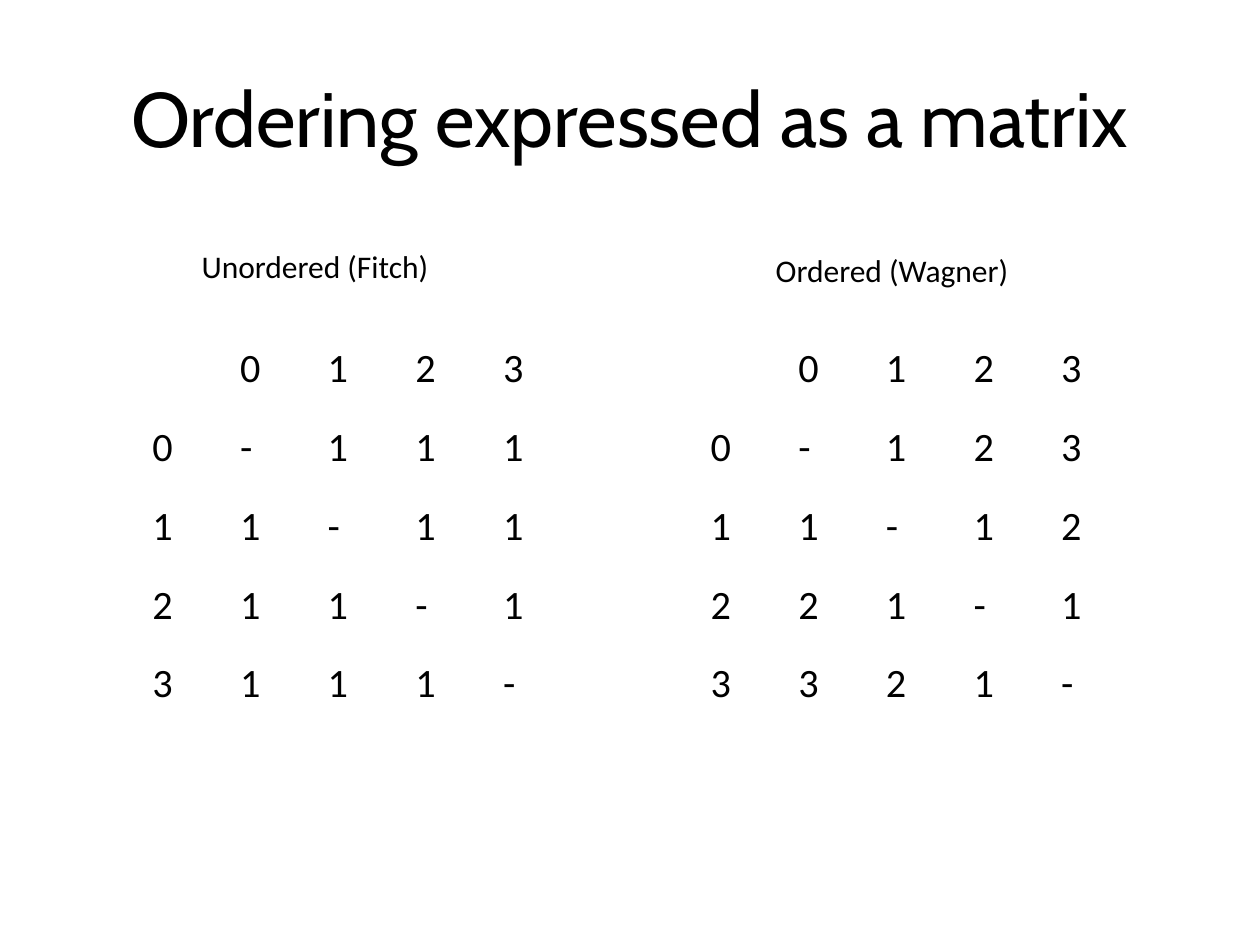
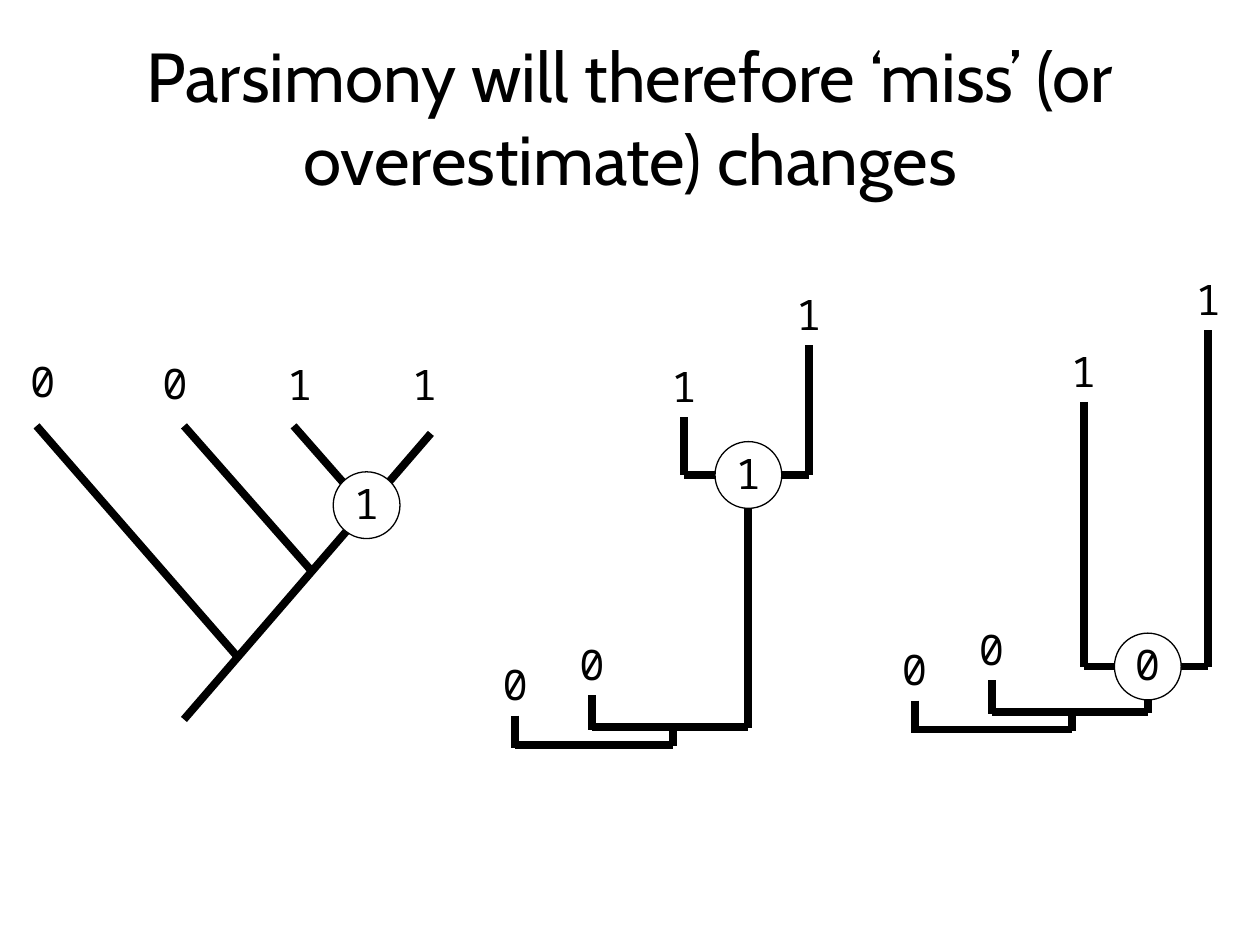
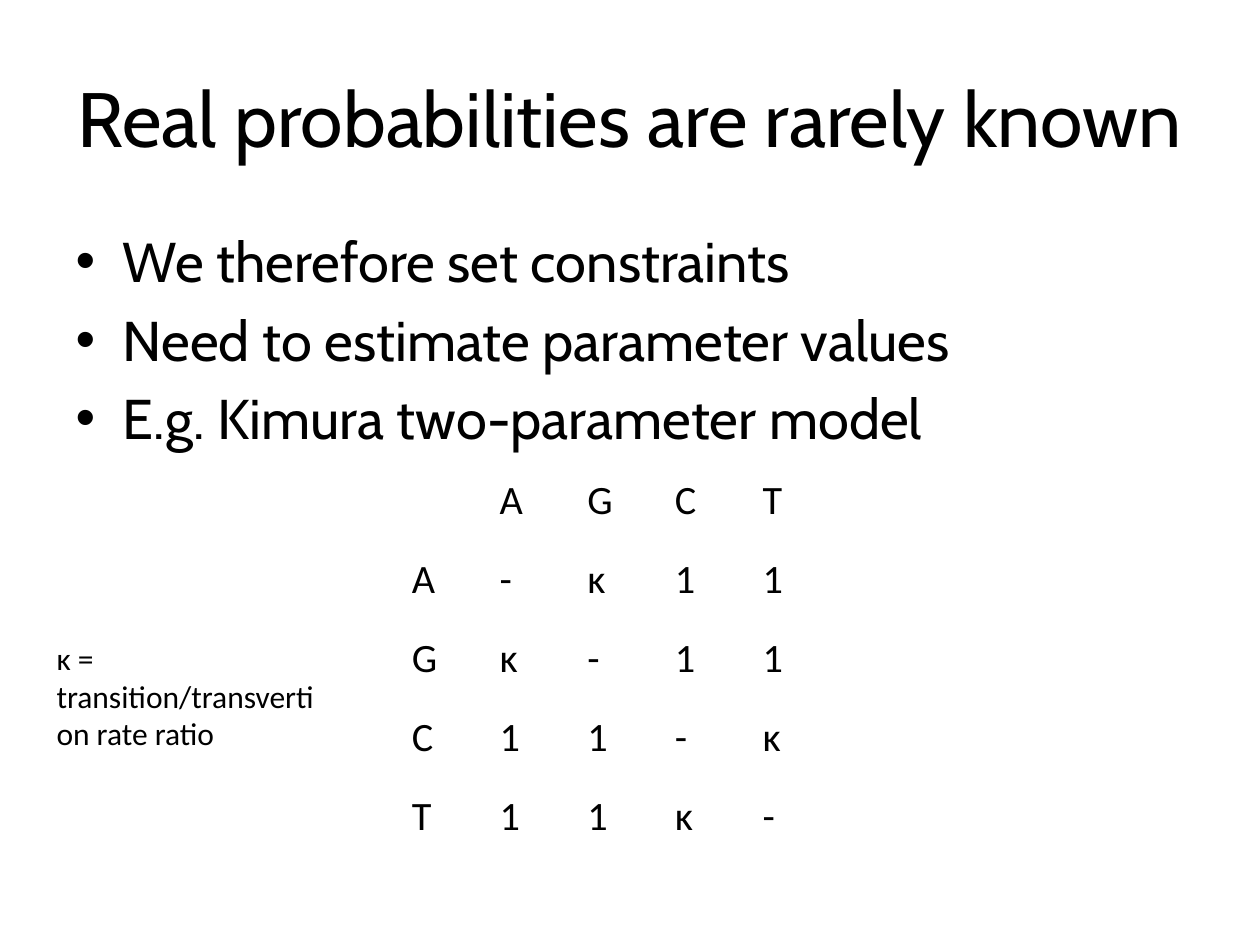
from lxml import etree
from pptx import Presentation
from pptx.dml.color import RGBColor
from pptx.enum.shapes import MSO_CONNECTOR as Connector, MSO_SHAPE as Shape
from pptx.enum.text import MSO_AUTO_SIZE as AutoSize, PP_ALIGN as Align
from pptx.oxml.ns import qn
from pptx.util import Inches, Pt

BLACK, WHITE = "000000", "FFFFFF"
HEADING, PLAIN, MONO = "Cabin", "Calibri", "Noto Sans Mono"
TITLE_LAYOUT, LIST_LAYOUT = 5, 1


def color(code):
    return RGBColor.from_string(code)


def style(para, face, size):
    para.font.name = face
    para.font.size = Pt(size)
    para.font.color.rgb = color(BLACK)


def place(shape, left, top, width, height):
    shape.left, shape.top = Inches(left), Inches(top)
    shape.width, shape.height = Inches(width), Inches(height)


def add_page(deck, layout, title, size=44):
    page = deck.slides.add_slide(deck.slide_layouts[layout])
    place(page.shapes.title, 0.5, 0.3, 9, 1.25)
    frame = page.shapes.title.text_frame
    frame.text = title
    frame.auto_size = AutoSize.NONE
    style(frame.paragraphs[0], HEADING, size)
    return page


def add_text(page, text, left, top, width, height, face=PLAIN, size=18, align=Align.LEFT):
    box = page.shapes.add_textbox(Inches(left), Inches(top), Inches(width), Inches(height))
    frame = box.text_frame
    frame.word_wrap = True
    frame.text = text
    frame.paragraphs[0].alignment = align
    style(frame.paragraphs[0], face, size)


def add_list(page, items, left, top, width, height):
    body = page.placeholders[1]
    place(body, left, top, width, height)
    frame = body.text_frame
    frame.text = "\n".join(items)
    frame.auto_size = AutoSize.NONE
    for para in frame.paragraphs:
        style(para, HEADING, 32)


def add_matrix(page, states, rows, left, top, width=3.48, height=3.13):
    """A cost matrix: one string of symbols per row, states on both edges."""
    lines = [" " + states] + [state + row for state, row in zip(states, rows)]
    count = len(lines)
    table = page.shapes.add_table(count, count, Inches(left), Inches(top),
                                  Inches(width), Inches(height)).table
    table.first_row = table.horz_banding = False
    for r, line in enumerate(lines):
        for c, symbol in enumerate(line):
            cell = table.cell(r, c)
            cell.fill.background()
            cell.margin_left = cell.margin_right = Inches(0.12)
            cell.margin_top = cell.margin_bottom = Inches(0.06)
            cell.text = symbol.strip()
            style(cell.text_frame.paragraphs[0], PLAIN, 23)


# Tree parts
def add_branch(page, x1, y1, x2, y2):
    branch = page.shapes.add_connector(Connector.STRAIGHT, Inches(x1), Inches(y1),
                                       Inches(x2), Inches(y2))
    branch.line.color.rgb = color(BLACK)
    branch.line.width = Pt(4.5)
    etree.SubElement(branch._element.spPr, qn("a:effectLst"))


def add_state(page, state, left, top):
    add_text(page, state, left, top, 0.3, 0.5, MONO, 24)


def add_node(page, state, x, y, size=0.53):
    """A circled ancestral state centred on x, y."""
    circle = page.shapes.add_shape(Shape.OVAL, Inches(x - size / 2), Inches(y - size / 2),
                                   Inches(size), Inches(size))
    circle.shadow.inherit = False
    circle.fill.solid()
    circle.fill.fore_color.rgb = color(WHITE)
    circle.line.color.rgb = color(BLACK)
    circle.line.width = Pt(0.75)
    add_state(page, state, x - 0.2, y - 0.27)


def add_cladogram(page, left, top):
    """The slanted tree; left, top is the end of its first branch."""
    branches = [
        (3.13, 0.06, 1.17, 2.33),  # backbone down to the root
        (2.04, 0, 2.61, 0.65),
        (1.17, 0, 2.19, 1.16),
        (0, 0, 1.61, 1.85),
    ]
    for x1, y1, x2, y2 in branches:
        add_branch(page, left + x1, top + y1, left + x2, top + y2)
    for state, x, y in [("0", -0.15, -0.61), ("0", 0.9, -0.59),
                        ("1", 1.89, -0.58), ("1", 2.88, -0.58)]:
        add_state(page, state, left + x, top + y)
    add_node(page, "1", left + 2.62, top + 0.63)


def add_phylogram(page, left, top, node_depth, node_state):
    """The square tree; the node lies node_depth below its highest tip."""
    base, fork = 3.17, 3.03
    tips = [("0", 0, 2.94, base + 0.03), ("0", 0.61, 2.78, fork + 0.02),
            ("1", 1.34, 0.57, node_depth), ("1", 2.33, 0, node_depth)]
    for state, x, start, end in tips:
        add_branch(page, left + x, top + start, left + x, top + end)
        add_state(page, state, left + x - 0.2, top + start - 0.5)
    # Stems, then crossbars
    for x, start, end in [(1.25, fork, base + 0.01), (1.85, node_depth, fork + 0.01)]:
        add_branch(page, left + x, top + start, left + x, top + end)
    for x1, x2, y in [(0, 1.25, base), (0.61, 1.85, fork), (1.34, 2.33, node_depth)]:
        add_branch(page, left + x1, top + y, left + x2, top + y)
    add_node(page, node_state, left + 1.85, top + node_depth)


def matrix_page(deck):
    page = add_page(deck, TITLE_LAYOUT, "Ordering expressed as a matrix")
    add_matrix(page, "0123", ["-111", "1-11", "11-1", "111-"], 1.09, 2.67)
    add_matrix(page, "0123", ["-123", "1-12", "21-1", "321-"], 5.52, 2.67)
    add_text(page, "Unordered (Fitch)", 1.24, 1.91, 2.52, 0.4, align=Align.CENTER)
    add_text(page, "Ordered (Wagner)", 5.82, 1.94, 2.52, 0.4, align=Align.CENTER)


def tree_page(deck):
    page = add_page(deck, TITLE_LAYOUT,
                    "Parsimony will therefore ‘miss’ (or overestimate) changes", 39.6)
    add_cladogram(page, 0.29, 3.38)
    add_phylogram(page, 4.09, 2.74, 1.03, "1")
    add_phylogram(page, 7.26, 2.62, 2.67, "0")


def model_page(deck):
    page = add_page(deck, LIST_LAYOUT, "Real probabilities are rarely known")
    add_list(page, ["We therefore set constraints", "Need to estimate parameter values",
                    "E.g. Kimura two-parameter model"], 0.5, 1.75, 9, 4.95)
    add_matrix(page, "AGCT", ["-κ11", "κ-11", "11-κ", "11κ-"], 3.15, 3.72)
    add_text(page, "κ = transition/transvertion rate ratio", 0.35, 5.02, 2.31, 1.01)


deck = Presentation()
deck.slide_width, deck.slide_height = Inches(10), Inches(7.5)
matrix_page(deck)
tree_page(deck)
model_page(deck)
deck.save("out.pptx")
